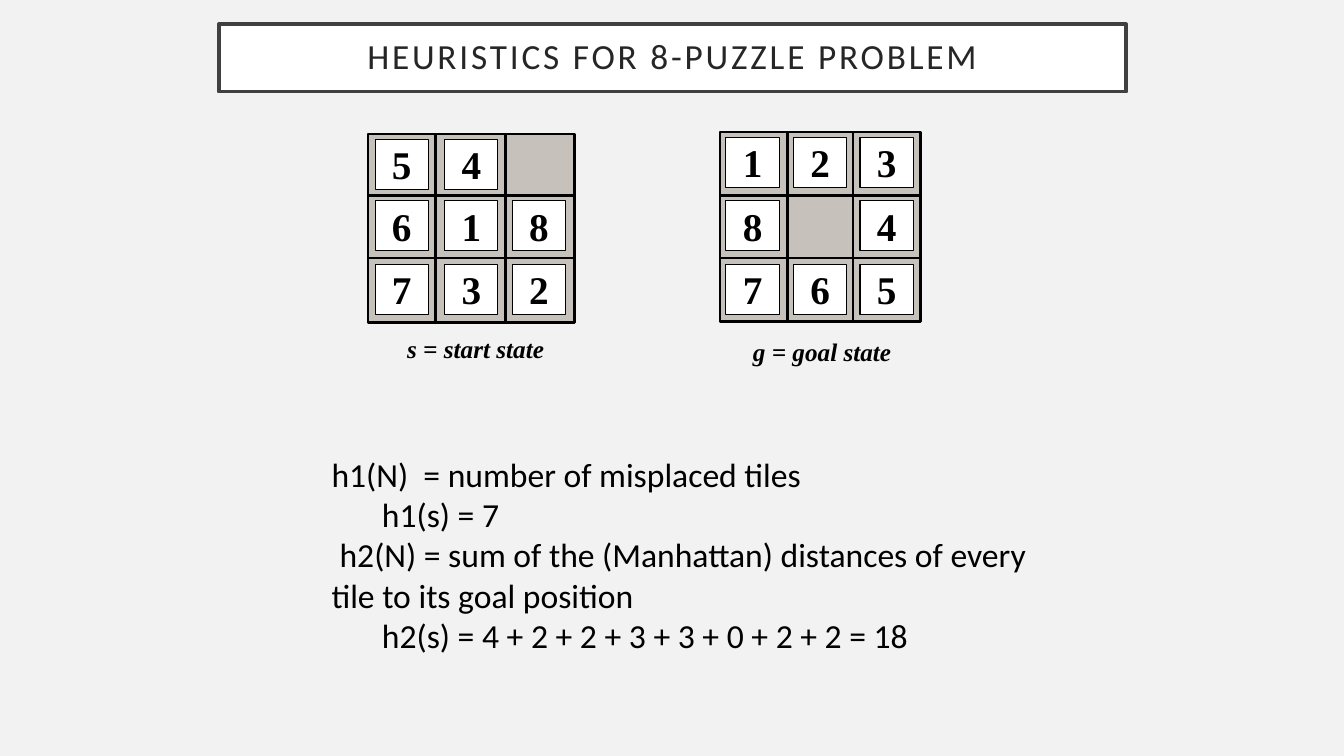
from lxml import etree
from pptx import Presentation
from pptx.dml.color import RGBColor
from pptx.enum.shapes import MSO_CONNECTOR, MSO_SHAPE
from pptx.enum.text import MSO_ANCHOR, MSO_AUTO_SIZE, PP_ALIGN
from pptx.oxml.ns import qn
from pptx.util import Inches, Pt

COLORS = {
    "background": "F2F2F2", "white": "FFFFFF", "black": "000000",
    "board": "C6C1BA", "title_line": "404040", "title_text": "262626",
}
TITLE = "HEURISTICS FOR 8-PUZZLE PROBLEM"
# Lengths in inches; 0 marks the empty cell
BOARDS = [
    {
        "frame": (3.65, 1.33, 2.05, 1.87),
        "dividers_x": (4.32, 5.01), "dividers_y": (1.94, 2.56),
        "tiles_x": (3.72, 4.41, 5.08), "tiles_y": (1.38, 1.99, 2.62),
        "numbers": [(5, 4, 0), (6, 1, 8), (7, 3, 2)],
        "caption": "s = start state", "caption_box": (3.94, 3.26, 1.56, 0.4),
    },
    {
        "frame": (7.14, 1.31, 1.99, 1.88),
        "dividers_x": (7.81, 8.46), "dividers_y": (1.94, 2.56),
        "tiles_x": (7.2, 7.87, 8.53), "tiles_y": (1.36, 1.99, 2.62),
        "numbers": [(1, 2, 3), (8, 0, 4), (7, 6, 5)],
        "caption": "g = goal state", "caption_box": (7.37, 3.29, 1.57, 0.4),
    },
]
TILE_SIZE = (0.53, 0.5)
# Text, left margin, first-line indent
HEURISTICS = [
    ("h1(N)  = number of misplaced tiles", 0, 0),
    ("h1(s) = 7", 0.5, 0),
    ("h2(N) = sum of the (Manhattan) distances of every tile to its goal position", 0, 0.08),
    ("h2(s) = 4 + 2 + 2 + 3 + 3 + 0 + 2 + 2 = 18", 0.5, 0),
]


def color(name):
    return RGBColor.from_string(COLORS[name])


def style_box(shape, fill, line, width):
    shape.fill.solid()
    shape.fill.fore_color.rgb = color(fill)
    shape.line.color.rgb = color(line)
    shape.line.width = Pt(width)


def style_font(paragraph, name, size, bold=False, italic=False, text_color="black"):
    for run in paragraph.runs:
        font = run.font
        font.name, font.size, font.bold, font.italic = name, Pt(size), bold, italic
        font.color.rgb = color(text_color)


def add_box(slide, box, fill, width):
    shape = slide.shapes.add_shape(MSO_SHAPE.RECTANGLE, *map(Inches, box))
    shape.shadow.inherit = False
    style_box(shape, fill, "black", width)
    return shape


def add_divider(slide, *ends):
    line = slide.shapes.add_connector(MSO_CONNECTOR.STRAIGHT, *map(Inches, ends))
    line.line.color.rgb = color("black")
    line.line.width = Pt(2)
    etree.SubElement(line._element.spPr, qn("a:effectLst"))


def add_title(slide):
    title = slide.shapes.title
    title.left, title.top, title.width, title.height = map(Inches, (2.17, 0.24, 9, 0.67))
    style_box(title, "white", "title_line", 2.5)
    frame = title.text_frame
    frame.text = TITLE
    frame.auto_size = MSO_AUTO_SIZE.NONE
    frame.vertical_anchor = MSO_ANCHOR.MIDDLE
    frame.margin_left = frame.margin_right = Inches(0.2)
    frame.margin_top = frame.margin_bottom = Inches(0.2)
    paragraph = frame.paragraphs[0]
    paragraph.alignment = PP_ALIGN.CENTER
    paragraph.line_spacing = 0.9
    style_font(paragraph, "Calibri", 25.2, text_color="title_text")
    paragraph.runs[0].font._element.set("spc", "200")


def add_tile(slide, left, top, number):
    tile = add_box(slide, (left, top, *TILE_SIZE), "white", 0.75)
    frame = tile.text_frame
    frame.text = str(number)
    frame.word_wrap = False
    frame.vertical_anchor = MSO_ANCHOR.MIDDLE
    frame.paragraphs[0].alignment = PP_ALIGN.CENTER
    style_font(frame.paragraphs[0], "Times New Roman", 28, bold=True)


def add_board(slide, board):
    left, top, width, height = board["frame"]
    add_box(slide, board["frame"], "board", 2)
    for x in board["dividers_x"]:
        add_divider(slide, x, top, x, top + height)
    for y in board["dividers_y"]:
        add_divider(slide, left, y, left + width, y)
    for y, row in zip(board["tiles_y"], board["numbers"]):
        for x, number in zip(board["tiles_x"], row):
            if number:
                add_tile(slide, x, y, number)
    caption = slide.shapes.add_textbox(*map(Inches, board["caption_box"])).text_frame
    caption.text = board["caption"]
    caption.word_wrap = False
    caption.auto_size = MSO_AUTO_SIZE.SHAPE_TO_FIT_TEXT
    style_font(caption.paragraphs[0], "Times New Roman", 18, bold=True, italic=True)


def add_heuristics(slide):
    frame = slide.shapes.add_textbox(*map(Inches, (3.19, 4.45, 7.21, 2.12))).text_frame
    frame.word_wrap = True
    frame.auto_size = MSO_AUTO_SIZE.SHAPE_TO_FIT_TEXT
    frame.text = "\n".join(text for text, _, _ in HEURISTICS)
    for paragraph, (_, margin, indent) in zip(frame.paragraphs, HEURISTICS):
        paragraph.level = 1 if margin else 0
        properties = paragraph._p.get_or_add_pPr()
        properties.set("marL", str(Inches(margin)))
        properties.set("indent", str(Inches(indent)))
        style_font(paragraph, "Calibri", 24)


def main():
    presentation = Presentation()
    presentation.slide_width, presentation.slide_height = Inches(13.33), Inches(7.5)
    slide = presentation.slides.add_slide(presentation.slide_layouts.get_by_name("Title Only"))
    slide.background.fill.solid()
    slide.background.fill.fore_color.rgb = color("background")
    add_title(slide)
    for board in BOARDS:
        add_board(slide, board)
    add_heuristics(slide)
    presentation.save("out.pptx")


if __name__ == "__main__":
    main()
